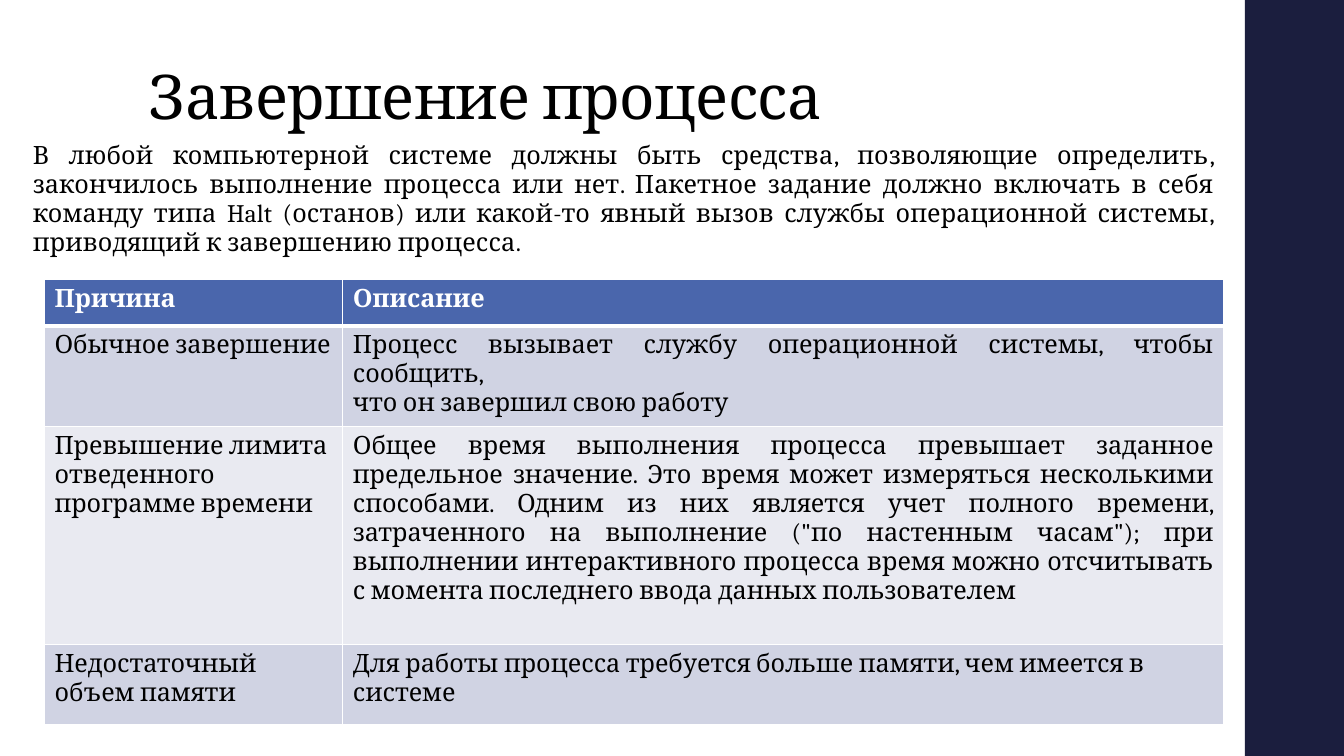
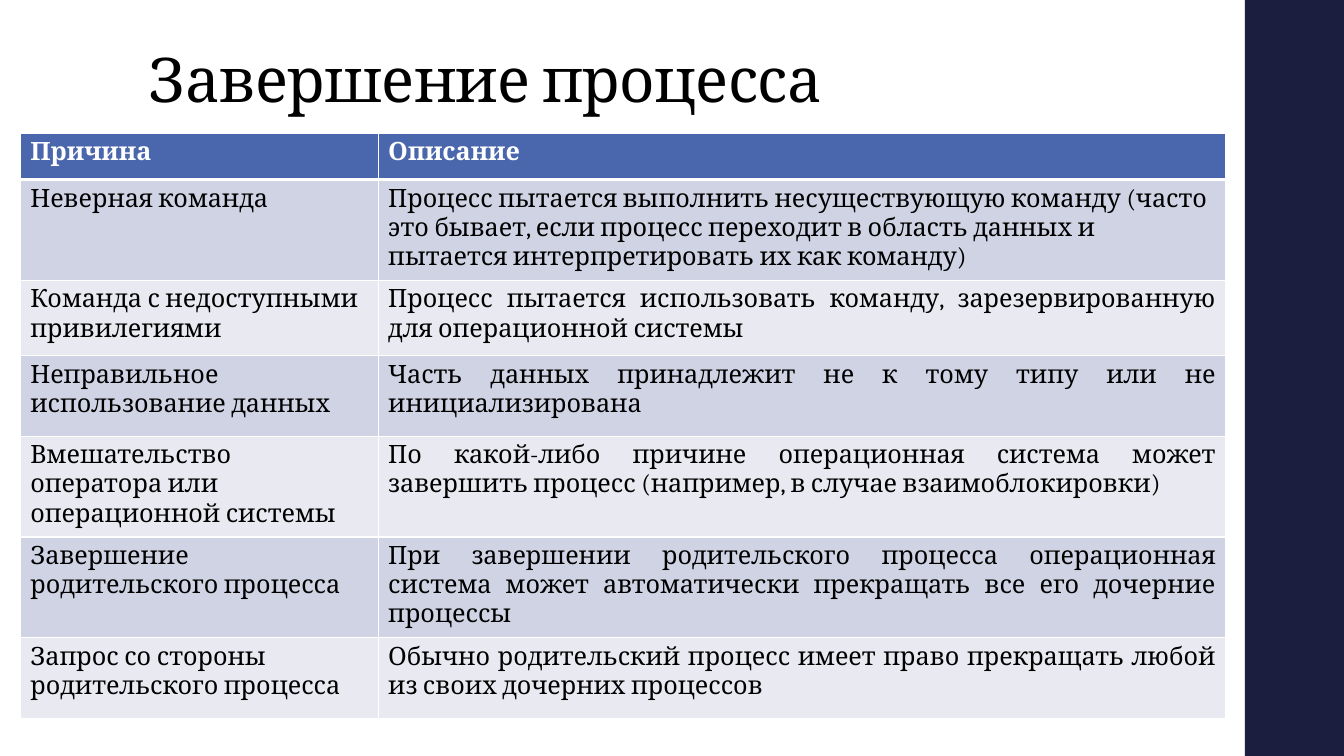
from lxml import etree
from pptx import Presentation
from pptx.dml.color import RGBColor
from pptx.enum.shapes import MSO_SHAPE
from pptx.enum.text import MSO_ANCHOR, PP_ALIGN
from pptx.oxml.ns import qn
from pptx.util import Cm, Pt

RECTANGLE = MSO_SHAPE.RECTANGLE
BOTTOM = MSO_ANCHOR.BOTTOM
LEFT = PP_ALIGN.LEFT
JUSTIFY = PP_ALIGN.JUSTIFY

FONT = "Cambria"
BLACK = "000000"
WHITE = "FFFFFF"
NAVY = "1B1E3E"
HEADER_BLUE = "4A66AC"
ROW_FILLS = ["D0D3E3", "E9EAF1"]
SLIDE_W, SLIDE_H = 33.87, 19.05
BAND_LEFT = 31.37
THIN, THICK = 1, 3


def color(hex_code):
    return RGBColor.from_string(hex_code)


def add_text(paragraph, text, size, hex_code=BLACK, bold=False, spacing=0):
    run = paragraph.add_run()
    run.text = text
    run.font.name = FONT
    run.font.size = Pt(size)
    run.font.bold = bold
    run.font.color.rgb = color(hex_code)
    if spacing:
        run._r.get_or_add_rPr().set("spc", str(round(spacing * 100)))


TITLE = "Завершение процесса"
HEADER = ("Причина", "Описание", LEFT)
INTRO = (
    "В любой компьютерной системе должны быть средства, позволяющие определить, "
    "закончилось выполнение процесса или нет. Пакетное задание должно включать в себя "
    "команду типа Halt (останов) или какой-то явный вызов службы операционной системы, "
    "приводящий к завершению процесса."
)

# Each row: reason, description, alignment of the description
slides = [
    {
        "title_height": 2.44,
        "intro": INTRO,
        "table_at": (1.12, 7.04),
        "columns": [7.52, 22.2],
        "row_heights": [1.17, 2.03, 5.49, 2.03],
        "rows": [
            ("Обычное завершение",
             "Процесс вызывает службу операционной системы, чтобы сообщить,\n"
             "что он завершил свою работу", JUSTIFY),
            ("Превышение лимита отведенного\nпрограмме времени",
             "Общее время выполнения процесса превышает заданное предельное значение. "
             "Это время может измеряться несколькими способами. Одним из них является "
             "учет полного времени, затраченного на выполнение (\"по настенным часам\"); "
             "при выполнении интерактивного процесса время можно отсчитывать с момента "
             "последнего ввода данных пользователем", JUSTIFY),
            ("Недостаточный объем памяти",
             "Для работы процесса требуется больше памяти, чем имеется в системе", LEFT),
        ],
    },
    {
        "title_height": 2.03,
        "intro": None,
        "table_at": (0.51, 3.35),
        "columns": [9.02, 21.36],
        "row_heights": [1.17, 2.03, 1.9, 2.03, 2.03, 2.03, 2.03],
        "rows": [
            ("Неверная команда",
             "Процесс пытается выполнить несуществующую команду (часто это бывает, если "
             "процесс переходит в область данных и пытается интерпретировать их как "
             "команду)", LEFT),
            ("Команда с недоступными привилегиями",
             "Процесс пытается использовать команду, зарезервированную для операционной "
             "системы", JUSTIFY),
            ("Неправильное использование данных",
             "Часть данных принадлежит не к тому типу или не инициализирована", JUSTIFY),
            ("Вмешательство оператора или операционной системы",
             "По какой-либо причине операционная система может завершить процесс "
             "(например, в случае взаимоблокировки)", JUSTIFY),
            ("Завершение родительского процесса",
             "При завершении родительского процесса операционная система может "
             "автоматически прекращать все его дочерние процессы", JUSTIFY),
            ("Запрос со стороны родительского процесса",
             "Обычно родительский процесс имеет право прекращать любой из своих дочерних "
             "процессов", JUSTIFY),
        ],
    },
]

prs = Presentation()
prs.slide_width, prs.slide_height = Cm(SLIDE_W), Cm(SLIDE_H)

for content in slides:
    slide = prs.slides.add_slide(prs.slide_layouts[6])

    # Side band
    band = slide.shapes.add_shape(
        RECTANGLE, Cm(BAND_LEFT), 0, Cm(SLIDE_W - BAND_LEFT), Cm(SLIDE_H))
    band.shadow.inherit = False
    band.fill.solid()
    band.fill.fore_color.rgb = color(NAVY)
    band.line.fill.background()

    # Title
    title = slide.shapes.add_textbox(
        Cm(3.5), Cm(1.02), Cm(26.92), Cm(content["title_height"])).text_frame
    title.word_wrap = True
    title.vertical_anchor = BOTTOM
    title.paragraphs[0].line_spacing = 0.9
    add_text(title.paragraphs[0], TITLE, 44, spacing=-0.5)

    # Introduction
    if content["intro"]:
        intro = slide.shapes.add_textbox(
            Cm(0.58), Cm(3.45), Cm(30.28), Cm(3.58)).text_frame
        intro.word_wrap = True
        intro.paragraphs[0].alignment = JUSTIFY
        intro.paragraphs[0].line_spacing = 0.95
        add_text(intro.paragraphs[0], content["intro"], 18, spacing=0.1)

    # Table of reasons
    rows = [HEADER] + content["rows"]
    left, top = content["table_at"]
    widths, heights = content["columns"], content["row_heights"]
    reasons = slide.shapes.add_table(
        len(rows), len(widths), Cm(left), Cm(top),
        Cm(sum(widths)), Cm(sum(heights))).table
    for column, width in zip(reasons.columns, widths):
        column.width = Cm(width)
    for row, height in zip(reasons.rows, heights):
        row.height = Cm(height)

    for r, (reason, description, alignment) in enumerate(rows):
        is_header = r == 0
        for c, (text, align) in enumerate([(reason, LEFT), (description, alignment)]):
            cell = reasons.cell(r, c)
            cell.fill.solid()
            cell.fill.fore_color.rgb = color(
                HEADER_BLUE if is_header else ROW_FILLS[(r - 1) % 2])
            for i, line in enumerate(text.split("\n")):
                frame = cell.text_frame
                paragraph = frame.add_paragraph() if i else frame.paragraphs[0]
                paragraph.alignment = align
                add_text(paragraph, line, 18, WHITE if is_header else BLACK, is_header)

            # Cell borders, thicker under the header
            borders = [
                ("a:lnL", THIN),
                ("a:lnR", THIN),
                ("a:lnT", THICK if r == 1 else THIN),
                ("a:lnB", THICK if is_header else THIN),
            ]
            properties = cell._tc.get_or_add_tcPr()
            for i, (side, weight) in enumerate(borders):
                border = etree.Element(qn(side), w=str(Pt(weight)))
                fill = etree.SubElement(border, qn("a:solidFill"))
                etree.SubElement(fill, qn("a:srgbClr"), val=WHITE)
                properties.insert(i, border)

prs.save("out.pptx")
